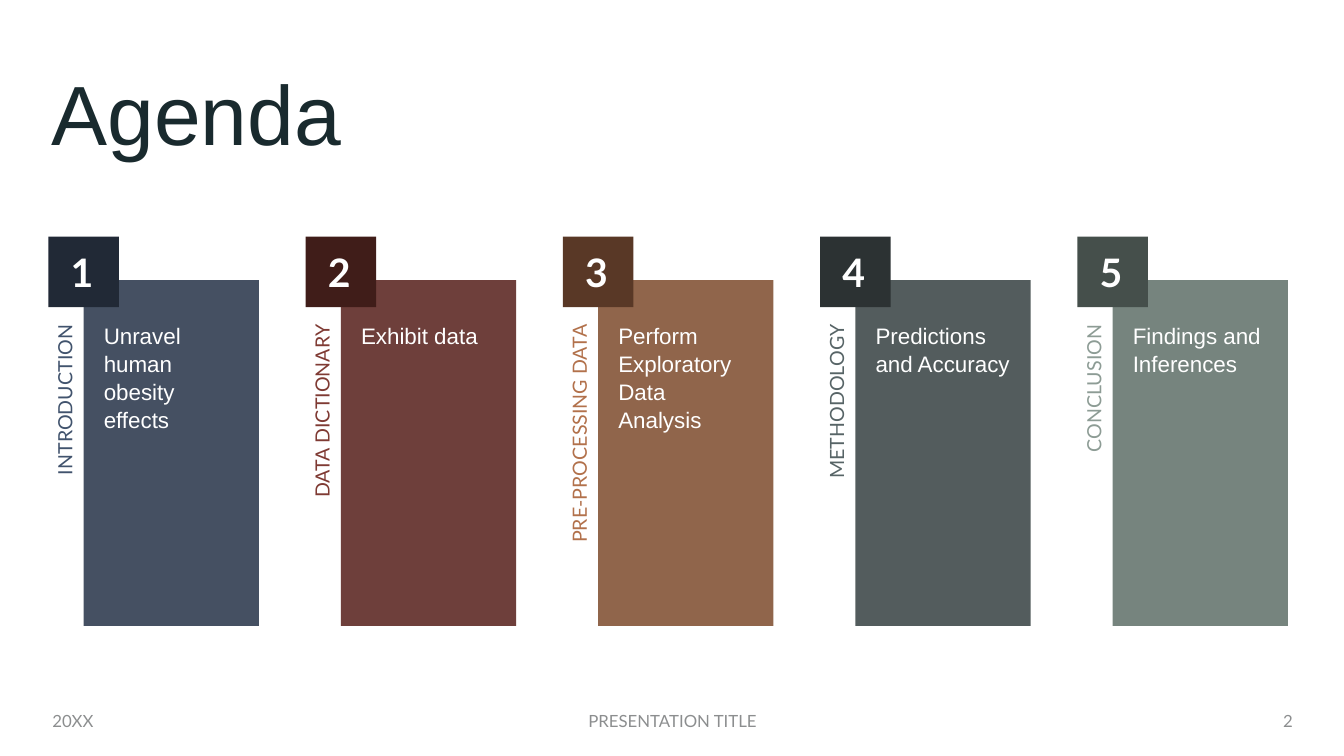
from dataclasses import dataclass
from typing import NamedTuple

from lxml import etree
from pptx import Presentation
from pptx.dml.color import RGBColor
from pptx.enum.shapes import MSO_SHAPE
from pptx.enum.text import MSO_ANCHOR, PP_ALIGN
from pptx.oxml.ns import qn
from pptx.util import Inches, Pt

RECT = MSO_SHAPE.RECTANGLE
TOP, MIDDLE = MSO_ANCHOR.TOP, MSO_ANCHOR.MIDDLE
LEFT, CENTER, RIGHT = PP_ALIGN.LEFT, PP_ALIGN.CENTER, PP_ALIGN.RIGHT
UNIT = 0.35  # inches in one grid column or row
PITCH = 7.29  # grid columns from one agenda item to the next


@dataclass(frozen=True)
class Theme:
    head: str = "Arial"
    body: str = "Lato"
    ink: str = "192A2E"
    white: str = "FFFFFF"
    gray: str = "8C8E8F"
    title: int = 60
    badge: int = 28
    text: int = 16
    label: int = 14
    foot: int = 12


class Box(NamedTuple):
    """Place in grid columns and rows."""
    col: float
    row: float
    wide: float
    high: float

    def shift(self, cols: float) -> "Box":
        return self._replace(col=self.col + cols)

    def size(self) -> list:
        return [Inches(n * UNIT) for n in self]


class Style(NamedTuple):
    font: str
    size: int
    color: str
    align: PP_ALIGN = LEFT
    anchor: MSO_ANCHOR = MIDDLE
    inset: tuple = (0.1, 0.05, 0.1, 0.05)
    space: float = 1.0
    bold: bool = False


class Item(NamedTuple):
    label: str
    text: str
    tint: str
    panel: str
    badge: str


class Foot(NamedTuple):
    text: str
    box: Box
    align: PP_ALIGN


THEME = Theme()
TITLE = Box(1.17, 1.91, 33.26, 4.23)
BADGE = Box(1.37, 6.71, 2, 2)
PANEL = Box(2.37, 7.94, 4.97, 9.8)
LABEL = Box(-3.43, 12.86, 10.6, 1)

ITEMS = [
    Item("INTRODUCTION", "Unravel human obesity effects", "41536D", "313E52", "212936"),
    Item("DATA DICTIONARY", "Exhibit data", "7F3A33", "5F2B26", "401D19"),
    Item("PRE-PROCESSING DATA", "Perform Exploratory Data Analysis",
         "B2714B", "855538", "593826"),
    Item("METHODOLOGY", "Predictions and Accuracy", "576466", "414B4C", "2C3233"),
    Item("CONCLUSION", "Findings and Inferences", "8D9C95", "687770", "454F4B"),
]
FEET = [
    Foot("20XX", Box(1.2, 19.86, 8.57, 1.14), LEFT),
    Foot("PRESENTATION TITLE", Box(12.63, 19.86, 12.86, 1.14), CENTER),
    Foot("2", Box(33.49, 19.86, 3.43, 1.14), RIGHT),
]


def write(shape, text: str, style: Style) -> None:
    frame = shape.text_frame
    frame.text = text
    frame.word_wrap = True
    frame.vertical_anchor = style.anchor
    (frame.margin_left, frame.margin_top,
     frame.margin_right, frame.margin_bottom) = map(Inches, style.inset)
    para = frame.paragraphs[0]
    para.alignment = style.align
    para.line_spacing = style.space
    font = para.runs[0].font
    font.name, font.size, font.bold = style.font, Pt(style.size), style.bold
    font.color.rgb = RGBColor.from_string(style.color)


def add_text(slide, box: Box, text: str, style: Style, turn: int = 0) -> None:
    shape = slide.shapes.add_textbox(*box.size())
    shape.rotation = turn
    write(shape, text, style)


def add_block(slide, box: Box, fill: str, text: str, style: Style,
              alpha: int = 100) -> None:
    """Draw a filled rectangle with text; alpha is its opacity in percent."""
    shape = slide.shapes.add_shape(RECT, *box.size())
    shape.shadow.inherit = False
    shape.line.fill.background()
    shape.fill.solid()
    shape.fill.fore_color.rgb = RGBColor.from_string(fill)
    if alpha < 100:
        color = shape.fill._xPr.find(".//" + qn("a:srgbClr"))
        etree.SubElement(color, qn("a:alpha")).set("val", str(alpha * 1000))
    write(shape, text, style)


def add_item(slide, index: int, item: Item) -> None:
    cols = index * PITCH
    add_text(slide, LABEL.shift(cols), item.label,
             Style(THEME.body, THEME.label, item.tint, RIGHT,
                   inset=(0, 0, 0.4, 0), space=0.9), 270)
    add_block(slide, PANEL.shift(cols), item.panel, item.text,
              Style(THEME.head, THEME.text, THEME.white, anchor=TOP,
                    inset=(0.2, 0.4, 0.2, 0.2), space=1.05), 90)
    add_block(slide, BADGE.shift(cols), item.badge, str(index + 1),
              Style(THEME.body, THEME.badge, THEME.white, CENTER,
                    inset=(0.1, 0.05, 0.13, 0.05), bold=True))


def main() -> None:
    deck = Presentation()
    deck.slide_width, deck.slide_height = Inches(13.33), Inches(7.5)
    slide = deck.slides.add_slide(deck.slide_layouts[5])
    title = slide.shapes.title
    title.left, title.top, title.width, title.height = TITLE.size()
    write(title, "Agenda",
          Style(THEME.head, THEME.title, THEME.ink, anchor=TOP, space=0.9))
    for index, item in enumerate(ITEMS):
        add_item(slide, index, item)
    for foot in FEET:
        add_text(slide, foot.box, foot.text,
                 Style(THEME.body, THEME.foot, THEME.gray, foot.align))
    deck.save("out.pptx")


if __name__ == "__main__":
    main()
